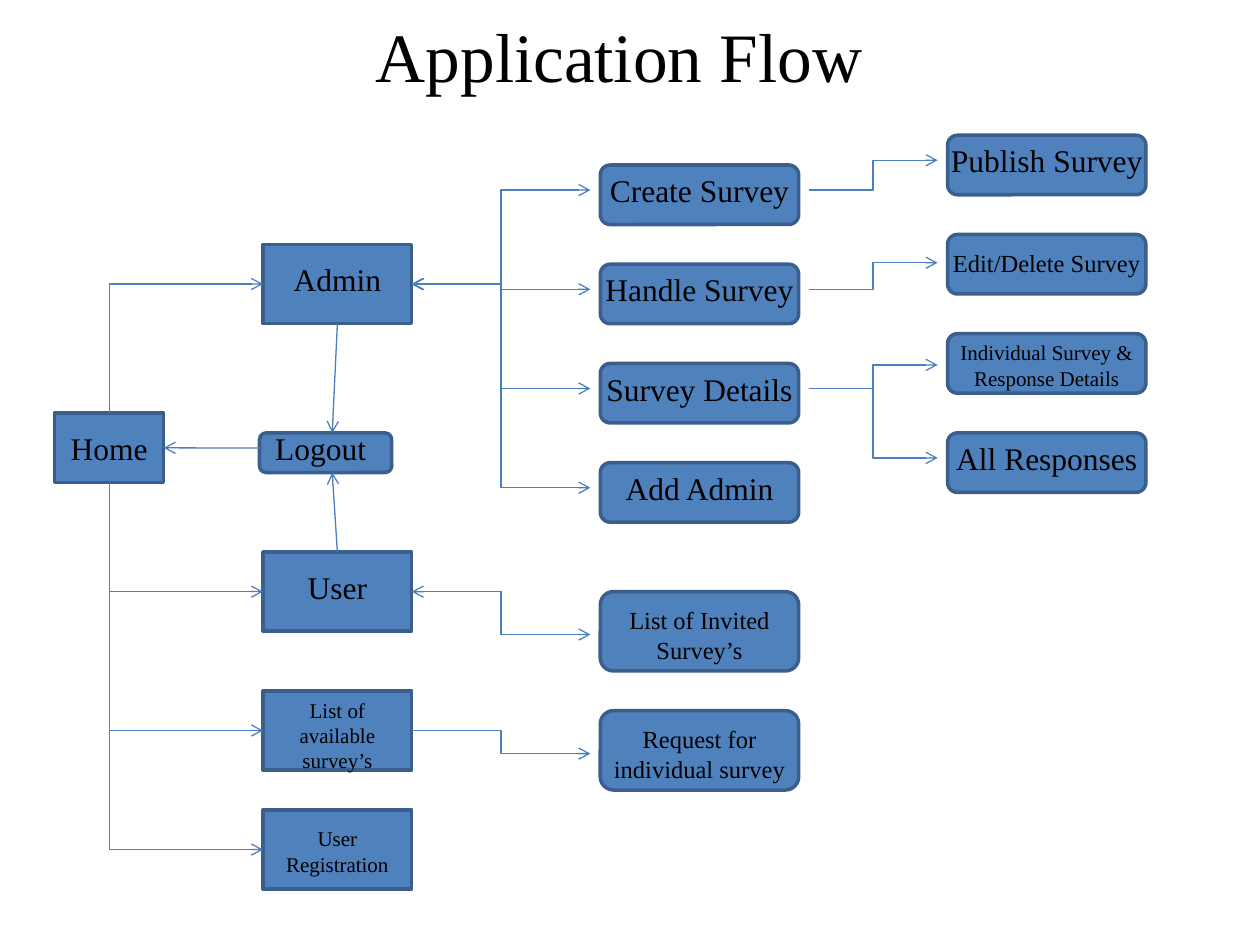
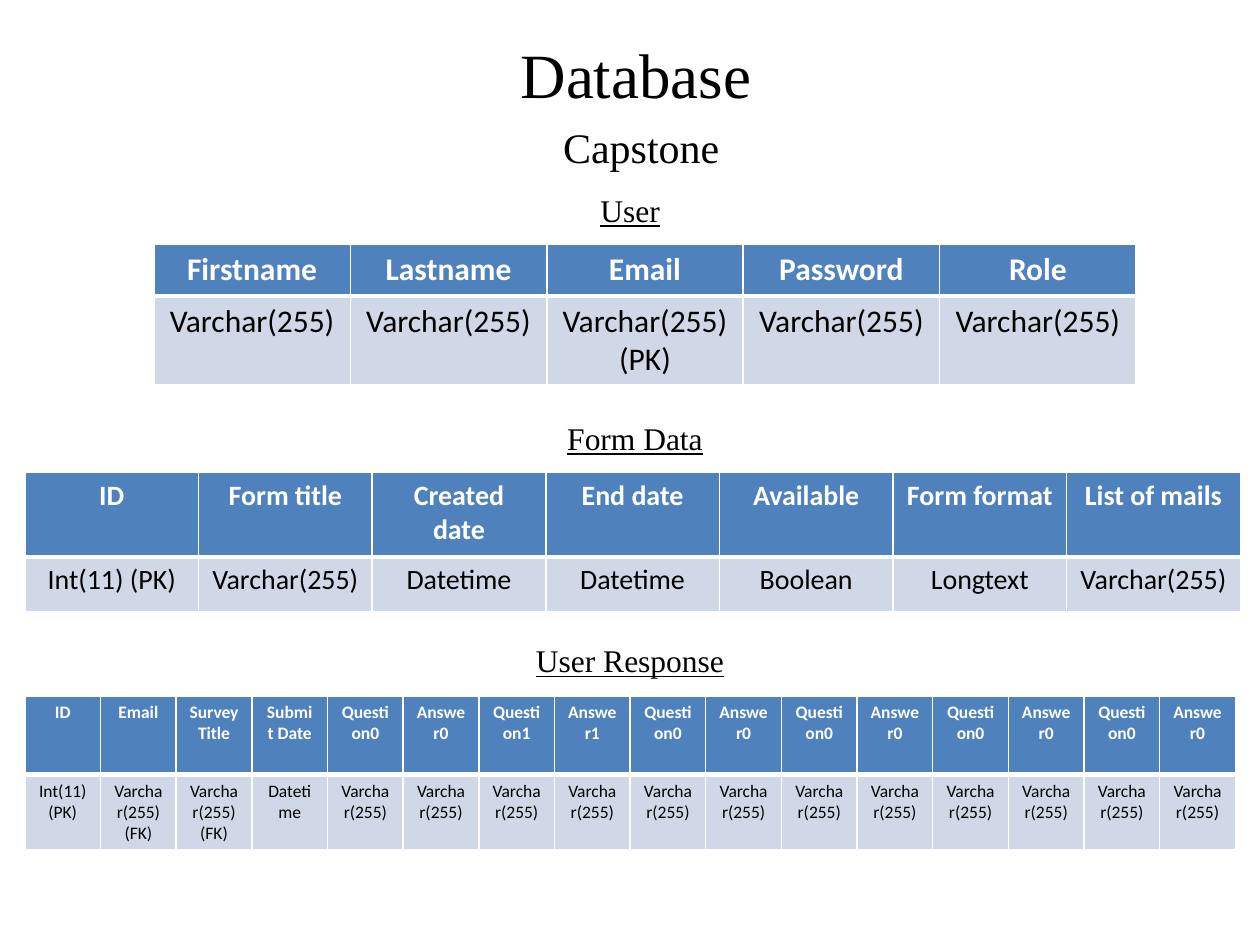
from dataclasses import dataclass

from lxml.etree import SubElement
from pptx import Presentation
from pptx.dml.color import RGBColor
from pptx.enum.shapes import MSO_CONNECTOR as Route, MSO_SHAPE as Preset
from pptx.enum.text import MSO_ANCHOR as Anchor, MSO_AUTO_SIZE as AutoSize, PP_ALIGN as Align
from pptx.oxml.ns import qn
from pptx.util import Emu, Inches, Pt

SLIDE_WIDTH, SLIDE_HEIGHT = Inches(10), Inches(7.5)
UNIT = SLIDE_WIDTH / 127
MARGIN_X, MARGIN_Y = Inches(0.04), Inches(0.05)
LINE_PER_POINT, LABEL_PADDING = 0.21, 1.27
TOP, LEFT, BOTTOM, RIGHT = range(4)


@dataclass(frozen=True)
class Theme:
    """Colours, fonts and type sizes in one place."""
    fill: str = "4F81BD"
    outline: str = "3A5F8C"
    link: str = "4B7EBC"
    band: str = "D0D8E8"
    ink: str = "000000"
    paper: str = "FFFFFF"
    serif: str = "Times New Roman"
    sans: str = "Calibri"
    flow_title: float = 39.6
    database_title: float = 36
    subtitle: float = 24
    large: float = 18
    form: float = 16
    medium: float = 14
    small: float = 12
    tiny: float = 10
    outline_width: float = 2
    link_width: float = 0.75
    border_width: float = 1
    header_rule: float = 3


THEME = Theme()


@dataclass(frozen=True)
class Box:
    """A rectangle in grid columns and rows."""
    col: float
    row: float
    cols: float
    rows: float

    def inner(self, col, row, cols, rows):
        """Return a box placed from this box's top left corner."""
        return Box(self.col + col, self.row + row, cols, rows)

    def place(self):
        """Return left, top, width and height on the slide."""
        return (Emu(round(MARGIN_X + self.col * UNIT)), Emu(round(MARGIN_Y + self.row * UNIT)),
                Emu(round(self.cols * UNIT)), Emu(round(self.rows * UNIT)))


@dataclass(frozen=True)
class Node:
    """A drawn box together with its label."""
    body: object
    label: object


def rgb(value):
    """Turn a hex string into a colour."""
    return RGBColor.from_string(value)


def write(paragraph, words, size, face=THEME.serif, color=THEME.ink, align=Align.CENTER,
          bold=False, underline=False):
    """Add one styled run to a paragraph."""
    paragraph.alignment = align
    run = paragraph.add_run()
    run.text = words
    font = run.font
    font.name, font.size, font.bold, font.underline = face, Pt(size), bold, underline
    font.color.rgb = rgb(color)


def add_text(slide, box, words, size, **style):
    """Add a text box that grows with its words."""
    text = slide.shapes.add_textbox(*box.place())
    text.text_frame.word_wrap = True
    text.text_frame.auto_size = AutoSize.SHAPE_TO_FIT_TEXT
    write(text.text_frame.paragraphs[0], words, size, **style)
    return text


def add_title(slide, box, words, size):
    """Add the slide title, centred in its box."""
    frame = add_text(slide, box, words, size).text_frame
    frame.auto_size = AutoSize.NONE
    frame.vertical_anchor = Anchor.MIDDLE


def add_node(slide, box, words, preset, size=THEME.large, lines=1, inset=0, drop=0, trim=None):
    """Draw a box and lay its label over it."""
    body = slide.shapes.add_shape(preset, *box.place())
    body.shadow.inherit = False
    body.fill.solid()
    body.fill.fore_color.rgb = rgb(THEME.fill)
    body.line.color.rgb = rgb(THEME.outline)
    body.line.width = Pt(THEME.outline_width)
    trim = 2 * inset if trim is None else trim
    label_box = box.inner(inset, drop, box.cols - trim, lines * size * LINE_PER_POINT + LABEL_PADDING)
    return Node(body, add_text(slide, label_box, words, size))


def add_role(slide, box, words, drop=1, **label):
    """Add a square-cornered node whose label is inset."""
    return add_node(slide, box, words, Preset.RECTANGLE, inset=1, drop=drop, **label)


def add_page(slide, box, words, **label):
    """Add a rounded node whose label overhangs both sides."""
    return add_node(slide, box, words, Preset.ROUNDED_RECTANGLE, inset=-1, **label)


def turn_corner(link, upward):
    """Make an elbow leave vertically and arrive horizontally."""
    width, height = link.width, link.height
    link.left += (width - height) // 2
    link.top += (height - width) // 2
    link.width, link.height = height, width
    properties = link.element.spPr
    properties.find(qn("a:prstGeom")).set("prst", "bentConnector2")
    frame = properties.find(qn("a:xfrm"))
    frame.set("rot", str((90 if upward else 270) * 60000))
    frame.set("flipH", "1")
    frame.set("flipV", "1" if upward else "0")


def add_link(slide, start, start_side, end=None, end_side=None, route=Route.ELBOW,
             point=(0, 0), both=False):
    """Join two shapes, or a shape and a point, with an arrow."""
    link = slide.shapes.add_connector(route, 0, 0, *point)
    link.begin_connect(start, start_side)
    if end is not None:
        link.end_connect(end, end_side)
    link.line.color.rgb = rgb(THEME.link)
    link.line.width = Pt(THEME.link_width)
    line = link.line._get_or_add_ln()
    for tag in ("a:headEnd", "a:tailEnd") if both else ("a:tailEnd",):
        SubElement(line, qn(tag), type="arrow")
    SubElement(link.element.spPr, qn("a:effectLst"))
    return link


def add_entry(slide, area):
    """Draw home, the roles and logout, and return the roles."""
    home = add_node(slide, area.inner(0, 28, 11, 7), "Home", Preset.RECTANGLE, drop=1)
    admin, user, available, registration = [
        add_role(slide, area.inner(21, row, 15, 8), words, **label)
        for row, words, label in (
            (11, "Admin", {}),
            (42, "User", {}),
            (56, "List of available survey’s", dict(size=THEME.small, lines=3, drop=0)),
            (68, "User Registration", dict(size=THEME.small, lines=2)))]
    logout = add_node(slide, area.inner(20.65, 30, 13.33, 4), "Logout",
                      Preset.ROUNDED_RECTANGLE, drop=-1, trim=1)

    turn_corner(add_link(slide, home.body, TOP, admin.body, LEFT), upward=True)
    for role in (user, available, registration):
        turn_corner(add_link(slide, home.body, BOTTOM, role.body, LEFT), upward=False)
    add_link(slide, logout.label, LEFT, home.body, RIGHT, Route.STRAIGHT)
    exit_box = logout.body
    exit_x = exit_box.left + round(exit_box.width * 0.55)
    add_link(slide, user.body, TOP, route=Route.STRAIGHT,
             point=(exit_x, exit_box.top + exit_box.height))
    add_link(slide, admin.body, BOTTOM, route=Route.STRAIGHT, point=(exit_x, exit_box.top))
    return admin, user, available


def add_admin_pages(slide, area, admin):
    """Draw the admin's steps and the pages they lead to."""
    steps = [add_page(slide, area.inner(55, 3 + 10 * i, 20, 6), words)
             for i, words in enumerate(("Create Survey", "Handle Survey", "Survey Details", "Add Admin"))]
    details = [add_page(slide, area.inner(90, 10 * i, 20, 6), words, **label)
               for i, (words, label) in enumerate((
                   ("Publish Survey", {}),
                   ("Edit/Delete Survey", dict(size=THEME.medium, drop=0.75)),
                   ("Individual Survey & Response Details", dict(size=THEME.small, lines=2)),
                   ("All Responses", {})))]
    for step in steps:
        add_link(slide, admin.body, RIGHT, step.label, LEFT, both=True)
    for step, detail in zip(steps[:3] + steps[2:3], details):
        add_link(slide, step.label, RIGHT, detail.label, LEFT)


def add_user_pages(slide, area, user, available):
    """Draw the pages open to users."""
    for row, words, source, both in ((46, "List of Invited Survey’s", user, True),
                                     (58, "Request for individual survey", available, False)):
        page = add_page(slide, area.inner(55, row, 20, 8), words,
                        size=THEME.medium, lines=2, drop=0.75)
        add_link(slide, source.body, RIGHT, page.label, LEFT, both=both)


def build_flow(slide):
    """Build the application flow slide."""
    add_title(slide, Box(4.75, 0, 114.3, 9.75), "Application Flow", THEME.flow_title)
    area = Box(5, 13, 110, 76)
    admin, user, available = add_entry(slide, area)
    add_admin_pages(slide, area, admin)
    add_user_pages(slide, area, user, available)


def style_cell(cell, words, size, header):
    """Fill one table cell with its text, borders and colour."""
    properties = cell._tc.get_or_add_tcPr()
    for tag in ("a:lnL", "a:lnR", "a:lnT", "a:lnB"):
        heavy = tag == ("a:lnB" if header else "a:lnT")
        width = THEME.header_rule if heavy else THEME.border_width
        border = SubElement(properties, qn(tag), w=str(Pt(width)))
        SubElement(SubElement(border, qn("a:solidFill")), qn("a:srgbClr"), val=THEME.paper)
    cell.fill.solid()
    cell.fill.fore_color.rgb = rgb(THEME.fill if header else THEME.band)
    frame = cell.text_frame
    for i, part in enumerate(words.split("\n")):
        paragraph = frame.add_paragraph() if i else frame.paragraphs[0]
        write(paragraph, part, size, THEME.sans, THEME.paper if header else THEME.ink, bold=header)


def add_schema(slide, caption_box, caption, box, row_heights, fields, size):
    """Add an underlined caption and the table of fields and types."""
    add_text(slide, caption_box, caption, THEME.large, underline=True)
    table = slide.shapes.add_table(2, len(fields), *box.place()).table
    for column in table.columns:
        column.width = Emu(round(box.cols * UNIT / len(fields)))
    for r, height in enumerate(row_heights):
        table.rows[r].height = Emu(round(height * UNIT))
        for c, field in enumerate(fields):
            style_cell(table.cell(r, c), field[r], size, header=r == 0)


def build_database(slide):
    """Build the database slide."""
    text_type = "Varchar(255)"
    user_fields = [(name, text_type + (" (PK)" if name == "Email" else ""))
                   for name in ("Firstname", "Lastname", "Email", "Password", "Role")]
    form_fields = [("ID", "Int(11) (PK)"), ("Form title", text_type), ("Created date", "Datetime"),
                   ("End date", "Datetime"), ("Available", "Boolean"), ("Form format", "Longtext"),
                   ("List of mails", text_type)]
    response_fields = [("ID", "Int(11) (PK)"), ("Email", text_type + " (FK)"),
                       ("Survey Title", text_type + "\n(FK)"), ("Submit Date", "Datetime")]
    response_fields += [(f"{part}{number}", text_type)
                        for number in (0, 1, 0, 0, 0, 0) for part in ("Question", "Answer")]

    add_title(slide, Box(10, -0.6, 107.2, 14.8), "Database", THEME.database_title)
    add_text(slide, Box(55, 11, 19, 6.4), "Capstone", THEME.subtitle, align=Align.LEFT)
    add_schema(slide, Box(54, 18, 18, 5), "User",
               Box(15, 24, 99, 10.4), (5.2, 5.2), user_fields, THEME.large)
    add_schema(slide, Box(54, 41, 19, 5), "Form Data",
               Box(2, 47, 122.5, 14), (8.5, 5.5), form_fields, THEME.form)
    add_schema(slide, Box(50, 63.4, 26, 5), "User Response",
               Box(2, 69.5, 122, 12.6), (7.9, 4.7), response_fields, THEME.tiny)


def main():
    """Build and save the presentation."""
    deck = Presentation()
    deck.slide_width, deck.slide_height = SLIDE_WIDTH, SLIDE_HEIGHT
    for build in (build_flow, build_database):
        build(deck.slides.add_slide(deck.slide_layouts[6]))
    deck.save("out.pptx")


if __name__ == "__main__":
    main()
